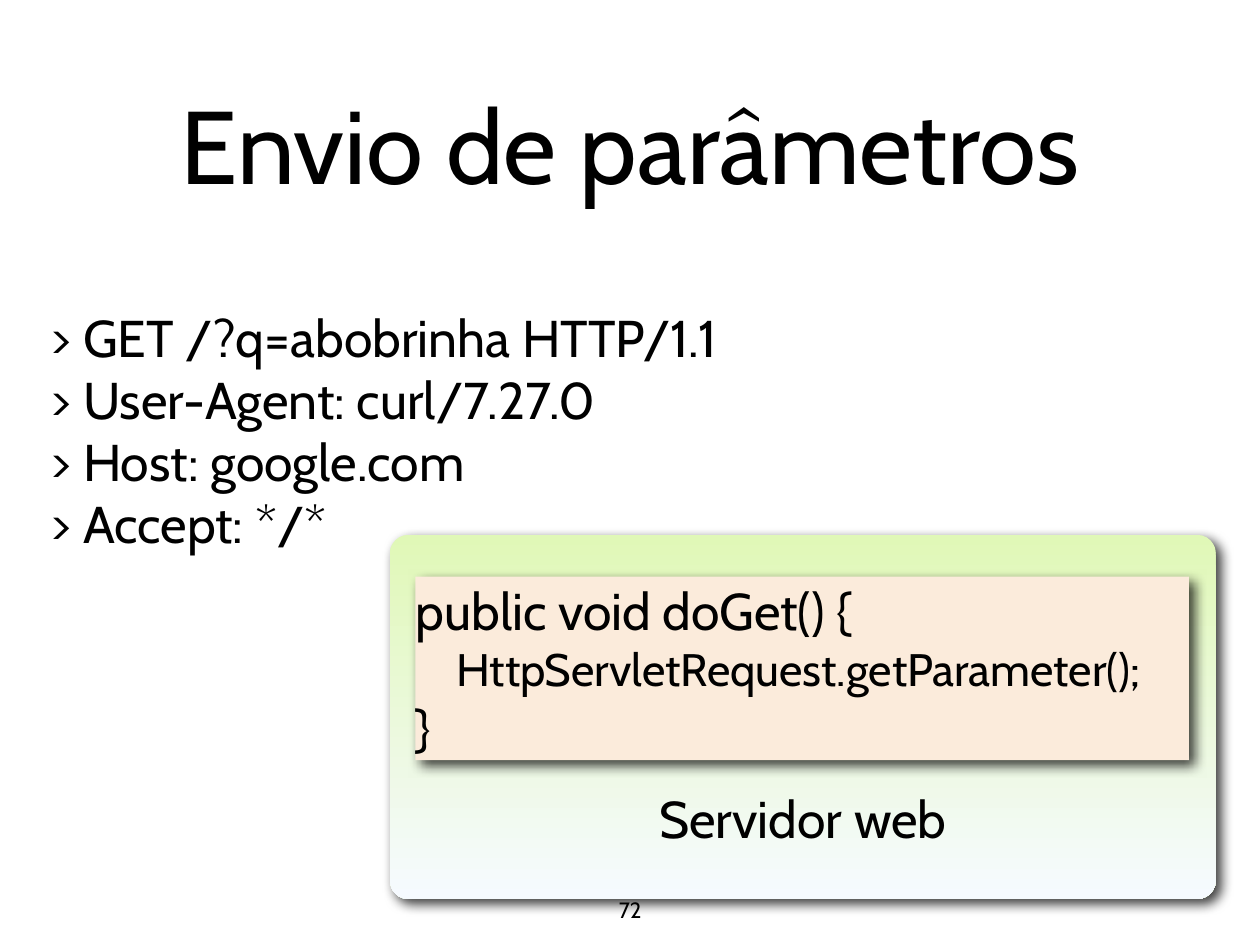
"""Build the slide on sending parameters to a web server."""
from lxml.etree import SubElement
from pptx import Presentation
from pptx.dml.color import RGBColor
from pptx.enum.shapes import MSO_SHAPE as Preset
from pptx.enum.text import MSO_ANCHOR as Anchor, MSO_AUTO_SIZE as AutoSize, PP_ALIGN as Align
from pptx.oxml.ns import qn
from pptx.util import Cm, Pt

COLORS = {
    "text": "000000",
    "shadow": "000000",
    "panel_top": "E0F8B7",
    "panel_bottom": "F6FAFF",
    "code": "FBEBDB",
}
REQUEST = [
    ("> GET /?q=abobrinha HTTP/1.1", 42),
    ("> User-Agent: curl/7.27.0", 42),
    ("> Host: google.com", 42),
    ("> Accept: */*", 42),
]
CODE = [
    ("public void doGet() {", 42),
    ("    HttpServletRequest.getParameter();", 37),
    ("}", 42),
]


def color(name):
    return RGBColor.from_string(COLORS[name])


def apply(target, values):
    for name, value in values.items():
        setattr(target, name, value)


def place(shape, left, top, width, height):
    apply(shape, {"left": Cm(left), "top": Cm(top), "width": Cm(width), "height": Cm(height)})


def write(shape, lines, align=Align.LEFT, anchor=Anchor.MIDDLE, wrap=True):
    frame = shape.text_frame
    apply(frame, {
        "margin_left": 0, "margin_right": 0, "margin_top": 0, "margin_bottom": 0,
        "vertical_anchor": anchor, "word_wrap": wrap, "auto_size": AutoSize.NONE,
    })
    frame.text = "\n".join(text for text, _ in lines)
    for paragraph, (_, size) in zip(frame.paragraphs, lines):
        properties = paragraph._p.get_or_add_pPr()
        apply_indent = {"marL": "0", "indent": "0"}
        for name, value in apply_indent.items():
            properties.set(name, value)
        SubElement(properties, qn("a:buNone"))
        apply(paragraph, {"alignment": align, "space_before": Pt(0)})
        font = paragraph.runs[0].font
        apply(font, {"name": "Cabin", "size": Pt(size)})
        font.color.rgb = color("text")


def add_label(slide, box, text, size, anchor=Anchor.MIDDLE):
    label = slide.shapes.add_textbox(*map(Cm, box))
    write(label, [(text, size)], Align.CENTER, anchor, wrap=False)


def add_card(slide, preset, box):
    card = slide.shapes.add_shape(preset, *map(Cm, box))
    card.line.fill.background()
    card.shadow.inherit = False
    effects = card._element.spPr.find(qn("a:effectLst"))
    shadow = SubElement(effects, qn("a:outerShdw"), blurRad=str(Pt(10)), dist=str(Pt(6)),
                        dir="2700000", algn="ctr", rotWithShape="0")
    tint = SubElement(shadow, qn("a:srgbClr"), val=COLORS["shadow"])
    SubElement(tint, qn("a:alpha"), val="75000")
    return card


def add_server_panel(slide, box):
    panel = add_card(slide, Preset.ROUNDED_RECTANGLE, box)
    panel.adjustments[0] = 0.05
    panel.fill.gradient()
    panel.fill.gradient_angle = 270
    for position, (stop, name) in enumerate(
            zip(panel.fill.gradient_stops, ("panel_top", "panel_bottom"))):
        stop.position = position
        stop.color.rgb = color(name)


def add_code(slide, box):
    code = add_card(slide, Preset.RECTANGLE, box)
    code.fill.solid()
    code.fill.fore_color.rgb = color("code")
    write(code, CODE)


def main():
    deck = Presentation()
    apply(deck, {"slide_width": Cm(36.12), "slide_height": Cm(27.1)})
    slide = deck.slides.add_slide(deck.slide_layouts[1])
    title, request = slide.placeholders

    place(title, 3.53, 0.71, 29.06, 6.78)
    write(title, [("Envio de parâmetros", 84)], Align.CENTER)
    place(request, 1.45, 8.74, 20.24, 7.19)
    write(request, REQUEST)

    add_server_panel(slide, (11.18, 15.34, 23.67, 10.44))
    add_code(slide, (11.91, 16.54, 22.17, 5.26))
    add_label(slide, (17.86, 22.4, 10.31, 2.08), "Servidor web", 42)
    add_label(slide, (17.58, 25.7, 0.97, 1.02), "72", 18, Anchor.TOP)
    deck.save("out.pptx")


if __name__ == "__main__":
    main()
